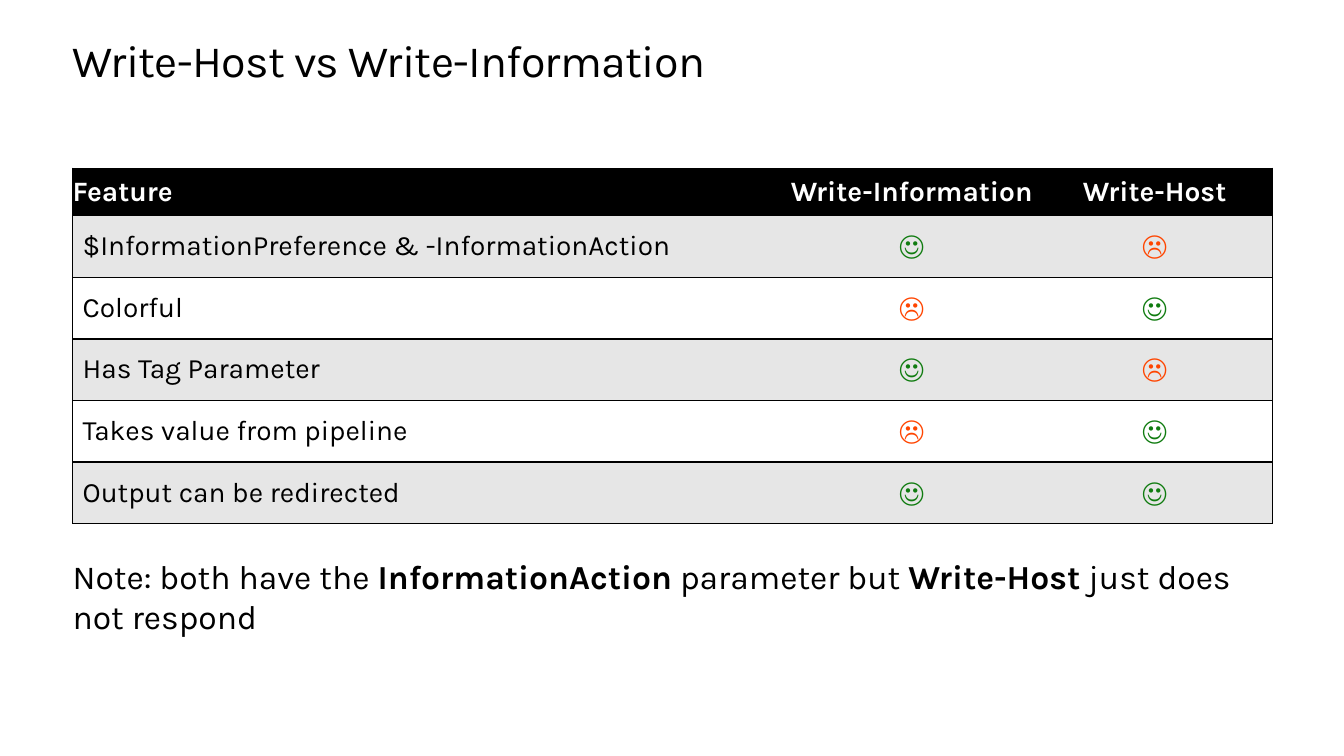
import pptx
import pptx.dml.color
import pptx.enum.text
import pptx.oxml
import pptx.oxml.ns
import pptx.util

Cm = pptx.util.Cm
Pt = pptx.util.Pt
RGBColor = pptx.dml.color.RGBColor
Anchor = pptx.enum.text.MSO_ANCHOR
Align = pptx.enum.text.PP_ALIGN

BLACK = RGBColor(0x00, 0x00, 0x00)
WHITE = RGBColor(0xFF, 0xFF, 0xFF)
GREY = RGBColor(0xE6, 0xE6, 0xE6)
GREEN = RGBColor(0x10, 0x7C, 0x10)
ORANGE = RGBColor(0xFF, 0x45, 0x00)
FONT = "Karla"

LEFT, WIDTH = Cm(1.83), Cm(30.23)
HEADINGS = ["Feature", "Write-Information", "Write-Host"]
FEATURES = [
    ["$InformationPreference & -InformationAction", "☺", "☹"],
    ["Colorful", "☹", "☺"],
    ["Has Tag Parameter", "☺", "☹"],
    ["Takes value from pipeline", "☹", "☺"],
    ["Output can be redirected", "☺", "☺"],
]
FACE_COLOURS = {"☺": GREEN, "☹": ORANGE}
COLUMN_SHARES = [7.08, 2.49, 2.33]
NOTE = [
    ("Note: both have the ", False),
    ("InformationAction", True),
    (" parameter but ", False),
    ("Write-Host", True),
    (" just does not respond", False),
]


def add_span(para, text, size, colour=BLACK, bold=False):
    span = para.add_run()
    span.text = text
    span.font.name = FONT
    span.font.size = Pt(size)
    span.font.bold = bold
    span.font.color.rgb = colour
    return span


def clear_margins(holder):
    holder.margin_left = holder.margin_right = 0
    holder.margin_top = holder.margin_bottom = 0


def place(shape, left, top, width, height):
    shape.left, shape.top, shape.width, shape.height = left, top, width, height


def prepare_frame(frame):
    clear_margins(frame)
    frame.word_wrap = True
    frame.auto_size = pptx.enum.text.MSO_AUTO_SIZE.NONE
    frame.vertical_anchor = Anchor.TOP


def add_title(page, left, top, width, height):
    title = page.shapes.title
    place(title, left, top, width, height)
    title.fill.solid()
    title.fill.fore_color.rgb = WHITE
    prepare_frame(title.text_frame)
    para = title.text_frame.paragraphs[0]
    para.alignment = Align.LEFT
    para.line_spacing = Pt(36.2)
    span = add_span(para, "Write-Host vs Write-Information", 32)
    span.font._element.set("spc", "-50")


def set_borders(cell, visible):
    properties = cell._tc.get_or_add_tcPr()
    for side in "LRTB":
        paint = "<a:noFill/>"
        if side in visible:
            paint = f'<a:solidFill><a:srgbClr val="{BLACK}"/></a:solidFill>'
        properties.append(pptx.oxml.parse_xml(
            f'<a:ln{side} {pptx.oxml.ns.nsdecls("a")} w="{Pt(1)}">{paint}</a:ln{side}>'))


def fill_cell(cell, text, row, column):
    heading = row == 0
    set_borders(cell, ["LTB", "TB", "RTB"][column])
    cell.fill.solid()
    cell.fill.fore_color.rgb = BLACK if heading else GREY if row % 2 else WHITE
    cell.vertical_anchor = Anchor.MIDDLE
    if heading:
        clear_margins(cell)
    para = cell.text_frame.paragraphs[0]
    para.alignment = Align.CENTER if column else Align.LEFT
    colour = WHITE if heading else FACE_COLOURS.get(text, BLACK)
    last_face = row == len(FEATURES) and column == 2
    bold = heading or (column > 0 and not last_face)
    add_span(para, text, 20, colour, bold)


def add_comparison(page, left, top, width, heading_height, row_height):
    rows = [HEADINGS] + FEATURES
    height = heading_height + row_height * len(FEATURES)
    frame = page.shapes.add_table(len(rows), len(HEADINGS), left, top, width, height)
    table = frame.table
    table.first_row = table.horz_banding = False
    for column, share in zip(table.columns, COLUMN_SHARES):
        column.width = int(width * share / sum(COLUMN_SHARES))
    for row, texts in enumerate(rows):
        table.rows[row].height = row_height if row else heading_height
        for column, text in enumerate(texts):
            fill_cell(table.cell(row, column), text, row, column)


def add_note(page, left, top, width, height):
    box = page.shapes.add_textbox(left, top, width, height)
    prepare_frame(box.text_frame)
    para = box.text_frame.paragraphs[0]
    for text, bold in NOTE:
        add_span(para, text, 24, bold=bold)


def main():
    deck = pptx.Presentation()
    deck.slide_width, deck.slide_height = Cm(33.87), Cm(19.05)
    page = deck.slides.add_slide(deck.slide_layouts.get_by_name("Title Only"))
    page.background.fill.solid()
    page.background.fill.fore_color.rgb = WHITE
    add_title(page, LEFT, Cm(0.89), WIDTH, Cm(1.27))
    add_comparison(page, LEFT, Cm(4.24), WIDTH, Cm(1.2), Cm(1.55))
    add_note(page, LEFT, Cm(14), WIDTH, Cm(3.3))
    deck.save("out.pptx")


if __name__ == "__main__":
    main()
